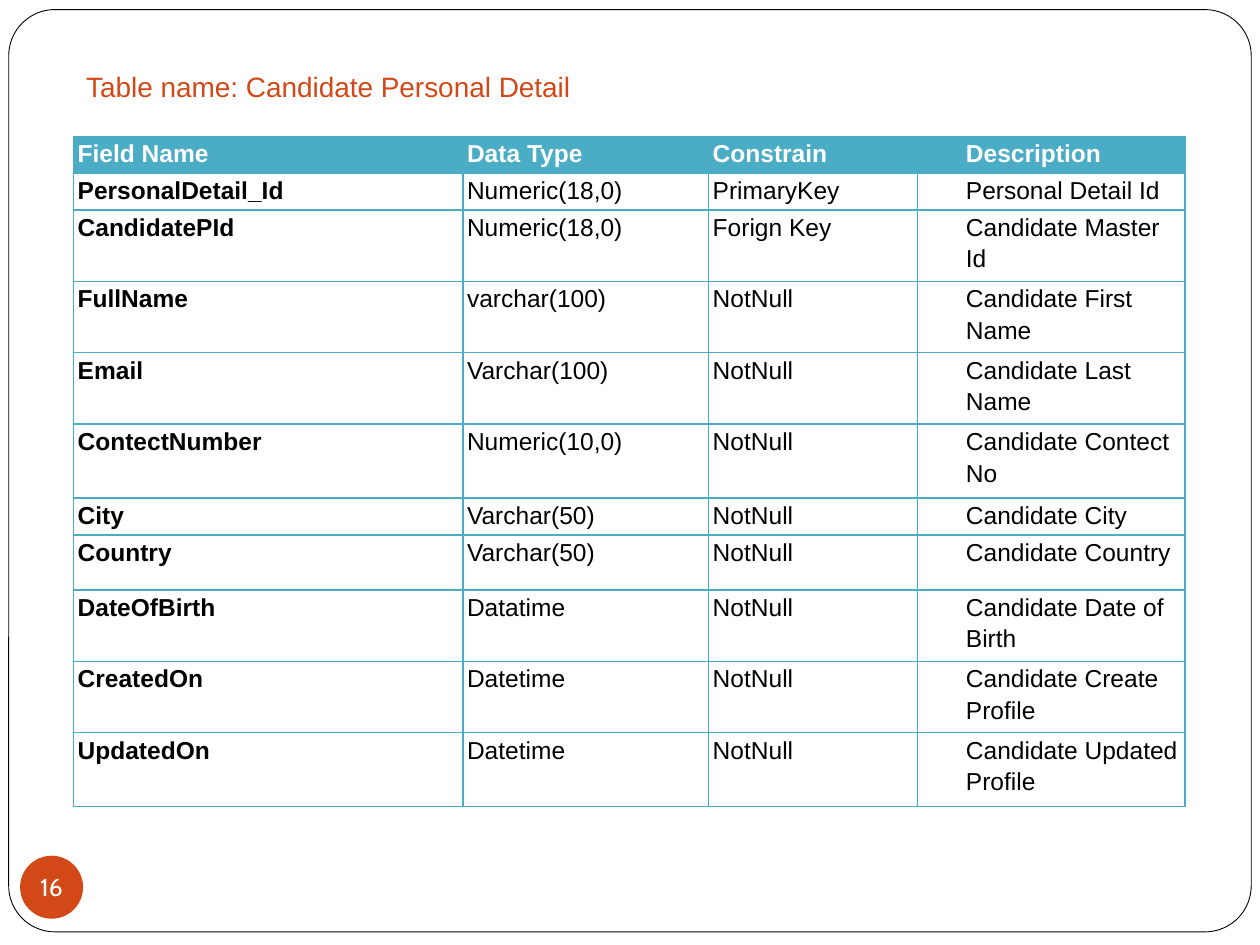
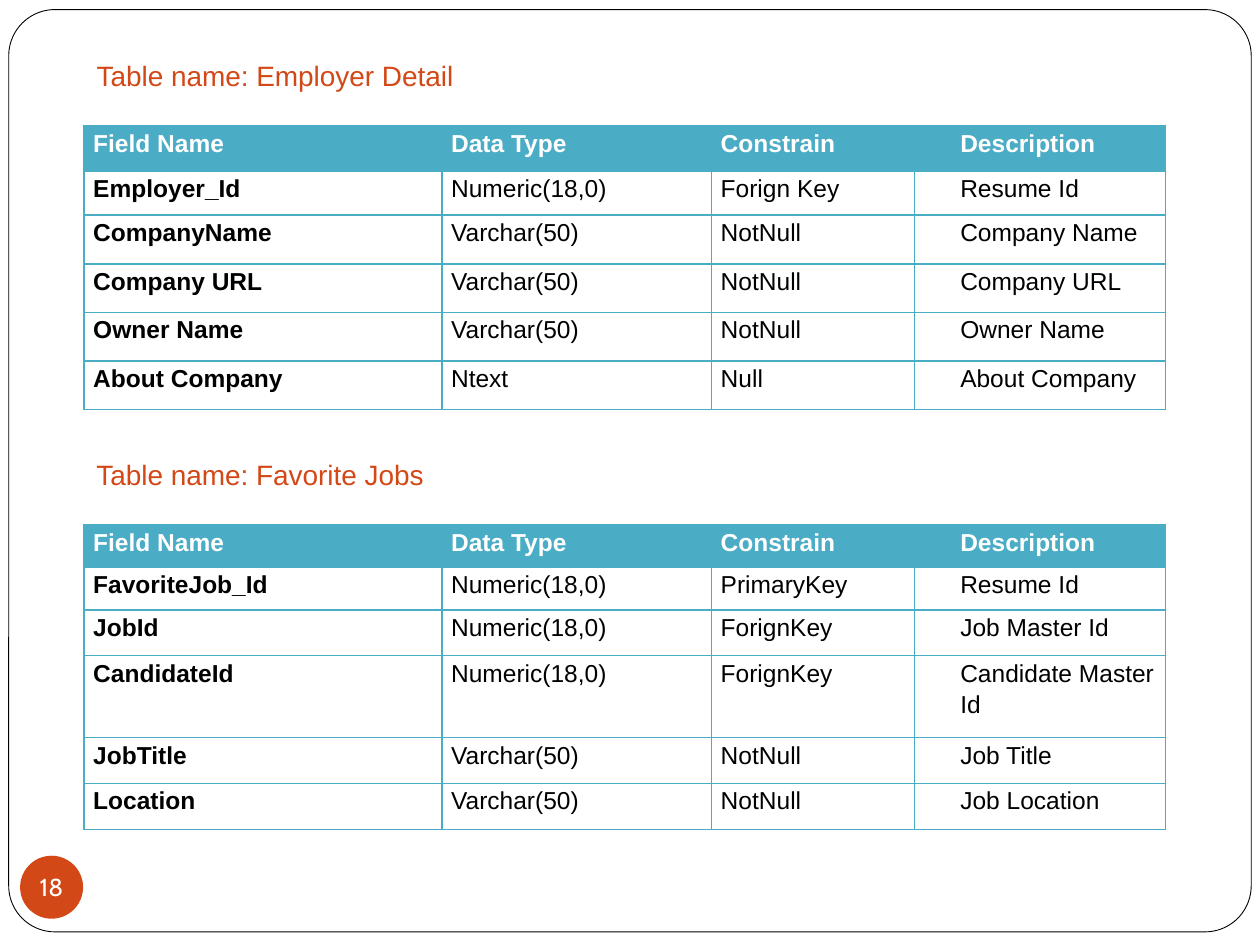
from dataclasses import dataclass

import pptx
import pptx.dml.color
import pptx.enum.shapes
import pptx.enum.text
import pptx.oxml
import pptx.oxml.ns
import pptx.shapes.base
import pptx.slide
import pptx.table
import pptx.text.text
import pptx.util

Pt = pptx.util.Pt
Align = pptx.enum.text.PP_ALIGN
Anchor = pptx.enum.text.MSO_ANCHOR
Kind = pptx.enum.shapes.MSO_SHAPE


@dataclass(frozen=True)
class Theme:
    accent: str = "D34817"
    grid: str = "4BACC6"
    ink: str = "000000"
    paper: str = "FFFFFF"
    font: str = "Arial"
    badge: str = "Cabin"
    head: float = 16
    body: float = 14
    lead: float = 1.15


@dataclass(frozen=True)
class Look:
    """Column widths and side inset shared by the tables of a slide."""
    left: float
    cols: tuple[float, ...]
    inset: float


@dataclass(frozen=True)
class Sheet:
    """One described database table: heading, place, row heights and fields."""
    name: str
    head: float
    top: float
    sizes: tuple[float, ...]
    rows: tuple[tuple[str, str, str, str], ...]


@dataclass(frozen=True)
class Page:
    number: str
    look: Look
    sheets: tuple[Sheet, ...]


THEME = Theme()
HEADS = ("Field Name", "Data Type", "Constrain", "Description")
SPACER = 3  # the empty column that sets the description apart

WIDE = Look(42, (222.5, 140.4, 119.5, 25.2, 127.5), 2.4)
SLIM = Look(48, (204.5, 154.1, 116, 20.9, 122.4), 5.3)

PAGES = (
    Page("16", WIDE, (
        Sheet("Candidate Personal Detail", 36, 78,
              (21, 21, 40.8, 40.8, 40.8, 42.3, 21, 31.5, 40.8, 40.8, 42.3), (
                  ("PersonalDetail_Id", "Numeric(18,0)", "PrimaryKey", "Personal Detail Id"),
                  ("CandidatePId", "Numeric(18,0)", "Forign Key", "Candidate Master Id"),
                  ("FullName", "varchar(100)", "NotNull", "Candidate First Name"),
                  ("Email", "Varchar(100)", "NotNull", "Candidate Last Name"),
                  ("ContectNumber", "Numeric(10,0)", "NotNull", "Candidate Contect No"),
                  ("City", "Varchar(50)", "NotNull", "Candidate City"),
                  ("Country", "Varchar(50)", "NotNull", "Candidate Country"),
                  ("DateOfBirth", "Datatime", "NotNull", "Candidate Date of Birth"),
                  ("CreatedOn", "Datetime", "NotNull", "Candidate Create Profile"),
                  ("UpdatedOn", "Datetime", "NotNull", "Candidate Updated Profile"),
              )),
    )),
    Page("18", SLIM, (
        Sheet("Employer Detail", 30, 72, (25.8, 25.2) + (27.8,) * 4, (
            ("Employer_Id", "Numeric(18,0)", "Forign Key", "Resume Id"),
            ("CompanyName", "Varchar(50)", "NotNull", "Company Name"),
            ("Company URL", "Varchar(50)", "NotNull", "Company URL"),
            ("Owner Name", "Varchar(50)", "NotNull", "Owner Name"),
            ("About Company", "Ntext", "Null", "About Company"),
        )),
        Sheet("Favorite Jobs", 258, 300, (24.3, 24.2, 26.2, 46.9, 26.2, 26.2), (
            ("FavoriteJob_Id", "Numeric(18,0)", "PrimaryKey", "Resume Id"),
            ("JobId", "Numeric(18,0)", "ForignKey", "Job Master Id"),
            ("CandidateId", "Numeric(18,0)", "ForignKey", "Candidate Master Id"),
            ("JobTitle", "Varchar(50)", "NotNull", "Job Title"),
            ("Location", "Varchar(50)", "NotNull", "Job Location"),
        )),
    )),
)


def tint(code: str) -> pptx.dml.color.RGBColor:
    return pptx.dml.color.RGBColor.from_string(code)


def style(para: pptx.text.text._Paragraph, size: float, ink: str,
          face: str = THEME.font, bold: bool = False) -> None:
    font = para.font
    font.name, font.size, font.bold = face, Pt(size), bold
    font.color.rgb = tint(ink)


def add_frame(slide: pptx.slide.Slide) -> None:
    """Draw the rounded page outline, then move it to the slide's layout."""
    frame = slide.shapes.add_shape(Kind.ROUNDED_RECTANGLE, Pt(5), Pt(5.5), Pt(710), Pt(527))
    frame.adjustments[0] = 0.05
    frame.shadow.inherit = False
    frame.fill.solid()
    frame.fill.fore_color.rgb = tint(THEME.paper)
    frame.line.color.rgb = tint(THEME.ink)
    frame.line.width = Pt(0.5)
    slide.slide_layout.shapes.element.insert(2, frame.element)


def add_badge(slide: pptx.slide.Slide, number: str) -> None:
    badge = slide.shapes.add_shape(Kind.OVAL, Pt(11.5), Pt(489), Pt(36), Pt(36))
    badge.shadow.inherit = False
    badge.fill.solid()
    badge.fill.fore_color.rgb = tint(THEME.accent)
    badge.line.fill.background()
    text = badge.text_frame
    text.margin_left = text.margin_right = text.margin_top = text.margin_bottom = 0
    text.word_wrap = False
    text.vertical_anchor = Anchor.MIDDLE
    text.text = number
    text.paragraphs[0].alignment = Align.CENTER
    style(text.paragraphs[0], THEME.body, THEME.paper, THEME.badge)


def set_head(shape: pptx.shapes.base.BaseShape, sheet: Sheet, left: float) -> None:
    shape.left, shape.top = Pt(left), Pt(sheet.head)
    shape.width, shape.height = Pt(624), Pt(26.6)
    text = shape.text_frame
    text.text = f"Table name: {sheet.name}"
    text.word_wrap = True
    text.auto_size = pptx.enum.text.MSO_AUTO_SIZE.NONE
    text.vertical_anchor = Anchor.MIDDLE
    text.paragraphs[0].alignment = Align.LEFT
    style(text.paragraphs[0], THEME.head, THEME.accent)


def set_edges(cell: pptx.table._Cell, col: int) -> None:
    """Rule all sides of a cell, except between the spacer and the description."""
    bare = {SPACER: "R", SPACER + 1: "L"}.get(col)
    space = pptx.oxml.ns.nsdecls("a")
    props = cell._tc.get_or_add_tcPr()
    for spot, side in enumerate("LRTB"):
        paint = ("<a:noFill/>" if side == bare else
                 f'<a:solidFill><a:srgbClr val="{THEME.grid}"/></a:solidFill>')
        props.insert(spot, pptx.oxml.parse_xml(
            f'<a:ln{side} {space} w="{Pt(1)}">{paint}</a:ln{side}>'))


def set_cell(cell: pptx.table._Cell, text: str, row: int, col: int, inset: float) -> None:
    head = row == 0
    cell.margin_left = cell.margin_right = Pt(inset)
    cell.margin_top = cell.margin_bottom = 0
    set_edges(cell, col)
    if head:
        cell.fill.solid()
        cell.fill.fore_color.rgb = tint(THEME.grid)
    else:
        cell.fill.background()
    cell.text = text
    para = cell.text_frame.paragraphs[0]
    para.line_spacing = THEME.lead
    style(para, THEME.body, THEME.paper if head else THEME.ink, bold=head or col == 0)


def add_grid(slide: pptx.slide.Slide, sheet: Sheet, look: Look) -> None:
    lines = (HEADS,) + sheet.rows
    table = slide.shapes.add_table(
        len(lines), len(look.cols), Pt(look.left), Pt(sheet.top),
        Pt(sum(look.cols)), Pt(sum(sheet.sizes))).table
    table.horz_banding = False
    for col, width in zip(table.columns, look.cols):
        col.width = Pt(width)
    for row, (line, size) in enumerate(zip(lines, sheet.sizes)):
        table.rows[row].height = Pt(size)
        for col, text in enumerate(line[:SPACER] + ("",) + line[SPACER:]):
            set_cell(table.cell(row, col), text, row, col, look.inset)


def main() -> None:
    deck = pptx.Presentation()
    deck.slide_width, deck.slide_height = Pt(720), Pt(540)
    layout = deck.slide_layouts.get_by_name("Title Only")
    for page in PAGES:
        slide = deck.slides.add_slide(layout)
        if page is PAGES[0]:
            add_frame(slide)
        add_badge(slide, page.number)
        for sheet in page.sheets:
            add_grid(slide, sheet, page.look)
            first = sheet is page.sheets[0]
            head = slide.shapes.title if first else slide.shapes.add_textbox(0, 0, 0, 0)
            set_head(head, sheet, page.look.left)
    deck.save("out.pptx")


if __name__ == "__main__":
    main()
